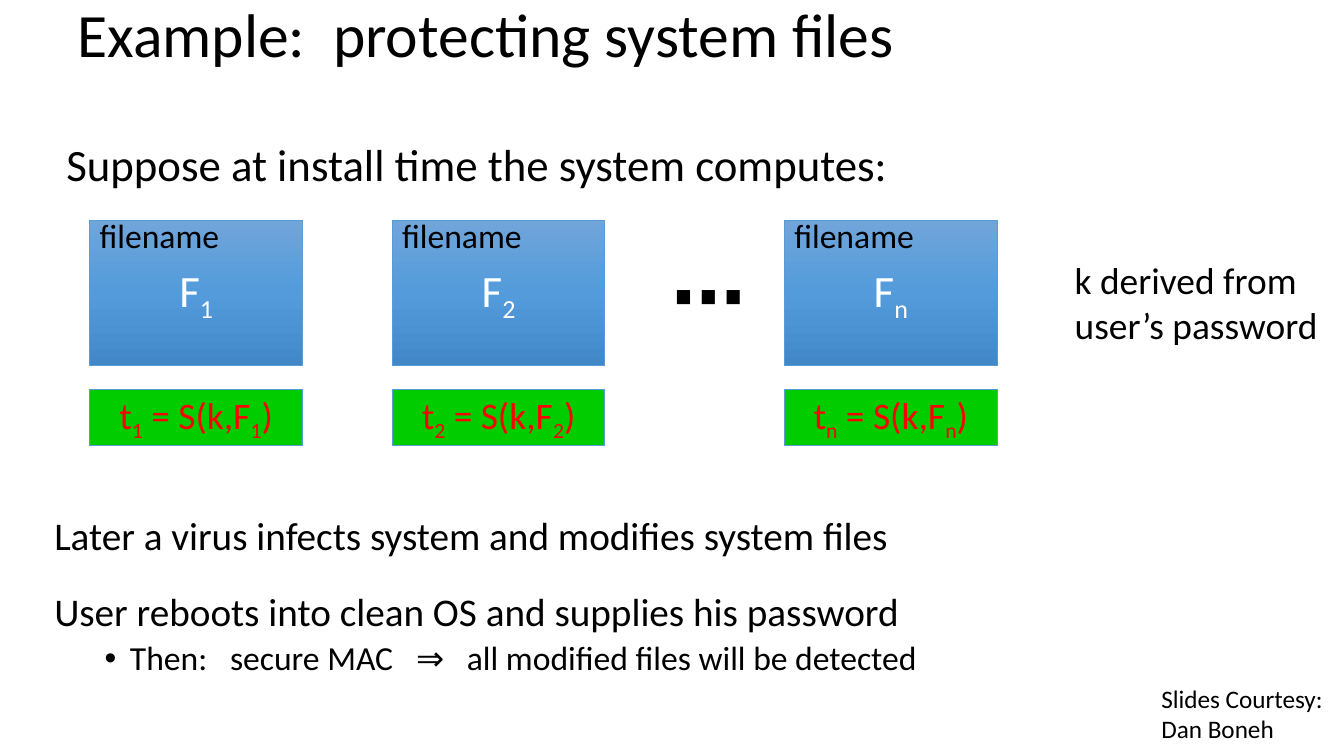
from lxml import etree
from pptx import Presentation
from pptx.dml.color import RGBColor
from pptx.enum import shapes, text
from pptx.oxml import ns
from pptx.util import Inches, Pt

BLACK = RGBColor(0x00, 0x00, 0x00)
WHITE = RGBColor(0xFF, 0xFF, 0xFF)
RED = RGBColor(0xFF, 0x00, 0x00)
GREEN = RGBColor(0x00, 0xCC, 0x00)
BLUE = RGBColor(0x5B, 0x9B, 0xD5)
FILE_GRADIENT = [(0, RGBColor(0x70, 0xA5, 0xDA)),
                 (50, RGBColor(0x53, 0x9B, 0xDB)),
                 (100, RGBColor(0x42, 0x88, 0xC8))]
MIDDLE = text.MSO_ANCHOR.MIDDLE
FILE_WIDTH = 2.11


def style(paragraph, size, color=BLACK, bold=False):
    font = paragraph.font
    font.name, font.size, font.bold = "Calibri", Pt(size), bold
    font.color.rgb = color


def add_text(slide, box, lines, size, bold=False, anchor=text.MSO_ANCHOR.TOP):
    """Add a text box with one paragraph per line and return its paragraphs."""
    frame = slide.shapes.add_textbox(*map(Inches, box)).text_frame
    frame.word_wrap = True
    frame.vertical_anchor = anchor
    for index, line in enumerate(lines):
        paragraph = frame.add_paragraph() if index else frame.paragraphs[0]
        paragraph.text = line
        style(paragraph, size, bold=bold)
    return frame.paragraphs


def fill_gradient(shape):
    """Fill the shape from top to bottom with the three file colours."""
    shape.fill.gradient()
    shape.fill.gradient_angle = 270
    stops = shape._element.spPr.find(ns.qn("a:gradFill")).find(ns.qn("a:gsLst"))
    for stop in list(stops):
        stops.remove(stop)
    for percent, color in FILE_GRADIENT:
        stop = etree.SubElement(stops, ns.qn("a:gs"), pos=str(percent * 1000))
        etree.SubElement(stop, ns.qn("a:srgbClr"), val=str(color))


def add_block(slide, box, formula, size, color):
    """Add an outlined block; every second piece between bars is a subscript."""
    block = slide.shapes.add_shape(shapes.MSO_SHAPE.RECTANGLE, *map(Inches, box))
    block.shadow.inherit = False
    block.line.color.rgb = BLUE
    block.line.width = Pt(0.75)
    block.text_frame.vertical_anchor = MIDDLE
    paragraph = block.text_frame.paragraphs[0]
    paragraph.alignment = text.PP_ALIGN.CENTER
    style(paragraph, size, color)
    for index, piece in enumerate(formula.split("|")):
        run = paragraph.add_run()
        run.text = piece
        if index % 2:
            run.font._element.set("baseline", "-25000")
    return block


def add_file(slide, left, top, number):
    """Add a file with its name label and the tag computed from it."""
    contents = add_block(slide, (left, top, FILE_WIDTH, 1.44), f"F|{number}", 32, WHITE)
    fill_gradient(contents)
    tag = add_block(slide, (left, top + 1.67, FILE_WIDTH, 0.56),
                    f"t|{number}| = S(k,F|{number}|)", 26.7, RED)
    tag.fill.solid()
    tag.fill.fore_color.rgb = GREEN
    add_text(slide, (left, top - 0.11, 1.4, 0.5), ["filename"], 24)


def add_install_time(slide, left, top):
    add_text(slide, (left, top, 8.43, 0.64),
             ["Suppose at install time the system computes:"], 32)
    for offset, number in ((0.33, "1"), (3.33, "2"), (7.22, "n")):
        add_file(slide, left + offset, top + 0.88, number)
    add_text(slide, (left + 6, top + 1.11, 0.83, 1), ["⋯"], 53.3, bold=True)
    add_text(slide, (left + 10, top + 1.19, 2.62, 1),
             ["k derived from\vuser’s password"], 26.7)


def add_detection(slide, box):
    infection, reboot, result = paragraphs = add_text(slide, box, [
        "Later a virus infects system and modifies system files",
        "User reboots into clean OS and supplies his password",
        "Then:   secure MAC   ⇒   all modified files will be detected"], 28)
    for paragraph in paragraphs:
        paragraph.line_spacing = 0.9
    reboot.space_before = Pt(23.7)
    result.space_before = Pt(5)
    result.font.size = Pt(24)
    result.level = 1
    properties = result._p.get_or_add_pPr()
    properties.set("marL", str(Inches(0.75)))
    properties.set("indent", str(Inches(-0.25)))
    bullet_font = etree.Element(ns.qn("a:buFont"), typeface="Arial")
    bullet = etree.Element(ns.qn("a:buChar"), char="•")
    default_run = properties.find(ns.qn("a:defRPr"))
    default_run.addprevious(bullet_font)
    default_run.addprevious(bullet)


def main():
    deck = Presentation()
    deck.slide_width, deck.slide_height = Inches(13.33), Inches(7.5)
    slide = deck.slides.add_slide(deck.slide_layouts[6])
    title, = add_text(slide, (0.67, -0.25, 12, 1.25),
                      ["Example:  protecting system files"], 44, anchor=MIDDLE)
    title.line_spacing = 0.9
    add_detection(slide, (0.44, 5.08, 12.33, 2.42))
    add_install_time(slide, 0.56, 1.31)
    add_text(slide, (11.42, 6.73, 5.7, 0.71), ["Slides Courtesy:", "Dan Boneh"], 18)
    deck.save("out.pptx")


if __name__ == "__main__":
    main()
